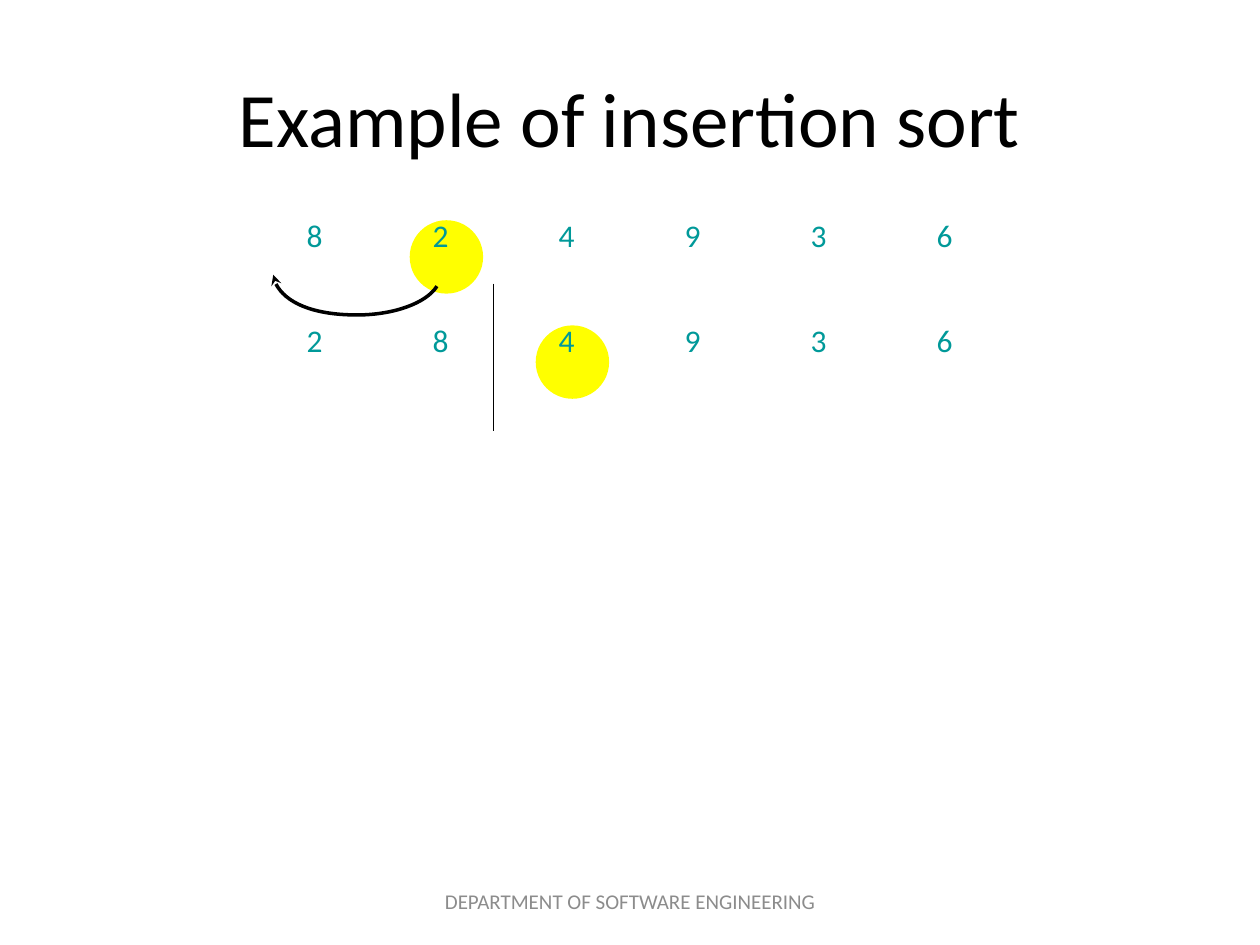
from lxml import etree
from pptx import Presentation
from pptx.dml.color import RGBColor
from pptx.enum.shapes import MSO_CONNECTOR, MSO_SHAPE
from pptx.enum.text import MSO_ANCHOR, PP_ALIGN
from pptx.oxml.ns import qn
from pptx.util import Cm, Pt

BLACK, TEAL, YELLOW, GREY = "000000", "009999", "FFFF00", "8C8C8C"
CELL_STEP, CELL_WIDTH, CELL_HEIGHT = 2.54, 1.06, 1.59
MARKER_SIZE, MARKER_OFFSET = 1.48, 0.21
ROWS_LEFT, FIRST_ROW_TOP, ROW_STEP = 5.93, 4.23, 2.12


def color(hex_value):
    return RGBColor.from_string(hex_value)


def add_text(slide, text, box, size, hex_value,
             align=PP_ALIGN.LEFT, anchor=MSO_ANCHOR.TOP):
    shape = slide.shapes.add_textbox(*(Cm(length) for length in box))
    text_frame = shape.text_frame
    text_frame.word_wrap = True
    text_frame.vertical_anchor = anchor
    text_frame.text = text
    paragraph = text_frame.paragraphs[0]
    paragraph.alignment = align
    font = paragraph.runs[0].font
    font.name, font.size = "Calibri", Pt(size)
    font.color.rgb = color(hex_value)


def add_number_row(slide, left, top, numbers, marked):
    """Place one state of the list, with a disc behind the marked index."""
    marker = slide.shapes.add_shape(
        MSO_SHAPE.OVAL,
        Cm(left + marked * CELL_STEP - MARKER_OFFSET), Cm(top + MARKER_OFFSET),
        Cm(MARKER_SIZE), Cm(MARKER_SIZE))
    marker.shadow.inherit = False
    marker.fill.solid()
    marker.fill.fore_color.rgb = color(YELLOW)
    marker.line.fill.background()
    for index, number in enumerate(numbers):
        box = (left + index * CELL_STEP, top, CELL_WIDTH, CELL_HEIGHT)
        add_text(slide, str(number), box, 18, TEAL)


def add_insertion_arrow(slide, left, top):
    """Curve from below the second number to the front of the row."""
    start = (2.88, 1.54)
    bezier_points = [(2.66, 1.89), (1.99, 2.12), (1.27, 2.12),
                     (0.34, 2.12), (-0.39, 1.76), (-0.42, 1.31)]
    start, *points = [(Cm(left + x), Cm(top + y))
                      for x, y in [start, *bezier_points]]
    builder = slide.shapes.build_freeform(*start)
    builder.add_line_segments(points, close=False)
    arrow = builder.convert_to_shape()
    arrow.shadow.inherit = False
    arrow.fill.background()
    arrow.line.color.rgb = color(BLACK)
    arrow.line.width = Pt(2)

    # Every three straight segments become one cubic curve.
    segments = list(arrow.element.iter(qn("a:lnTo")))
    for first in range(0, len(segments), 3):
        curve = etree.Element(qn("a:cubicBezTo"))
        segments[first].addprevious(curve)
        for segment in segments[first:first + 3]:
            curve.append(segment[0])
            segment.getparent().remove(segment)
    line = arrow.element.spPr.find(qn("a:ln"))
    etree.SubElement(line, qn("a:tailEnd"), type="stealth")


def add_sorted_divider(slide, x, top, bottom):
    divider = slide.shapes.add_connector(
        MSO_CONNECTOR.STRAIGHT, Cm(x), Cm(top), Cm(x), Cm(bottom))
    divider.line.color.rgb = color(BLACK)
    divider.line.width = Pt(0.75)
    etree.SubElement(divider.element.spPr, qn("a:effectLst"))


def main():
    presentation = Presentation()
    presentation.slide_width, presentation.slide_height = Cm(25.4), Cm(19.05)
    slide = presentation.slides.add_slide(presentation.slide_layouts[6])

    add_text(slide, "Example of insertion sort", (1.27, 0.76, 22.86, 3.18),
             44, BLACK, PP_ALIGN.CENTER, MSO_ANCHOR.MIDDLE)
    add_number_row(slide, ROWS_LEFT, FIRST_ROW_TOP, [8, 2, 4, 9, 3, 6], marked=1)
    add_insertion_arrow(slide, ROWS_LEFT, FIRST_ROW_TOP)
    add_number_row(slide, ROWS_LEFT, FIRST_ROW_TOP + ROW_STEP,
                   [2, 8, 4, 9, 3, 6], marked=2)
    add_sorted_divider(slide, 9.95, 5.72, 8.68)
    add_text(slide, "DEPARTMENT OF SOFTWARE ENGINEERING",
             (8.68, 17.65, 8.05, 1.02), 12, GREY,
             PP_ALIGN.CENTER, MSO_ANCHOR.MIDDLE)

    presentation.save("out.pptx")


if __name__ == "__main__":
    main()
